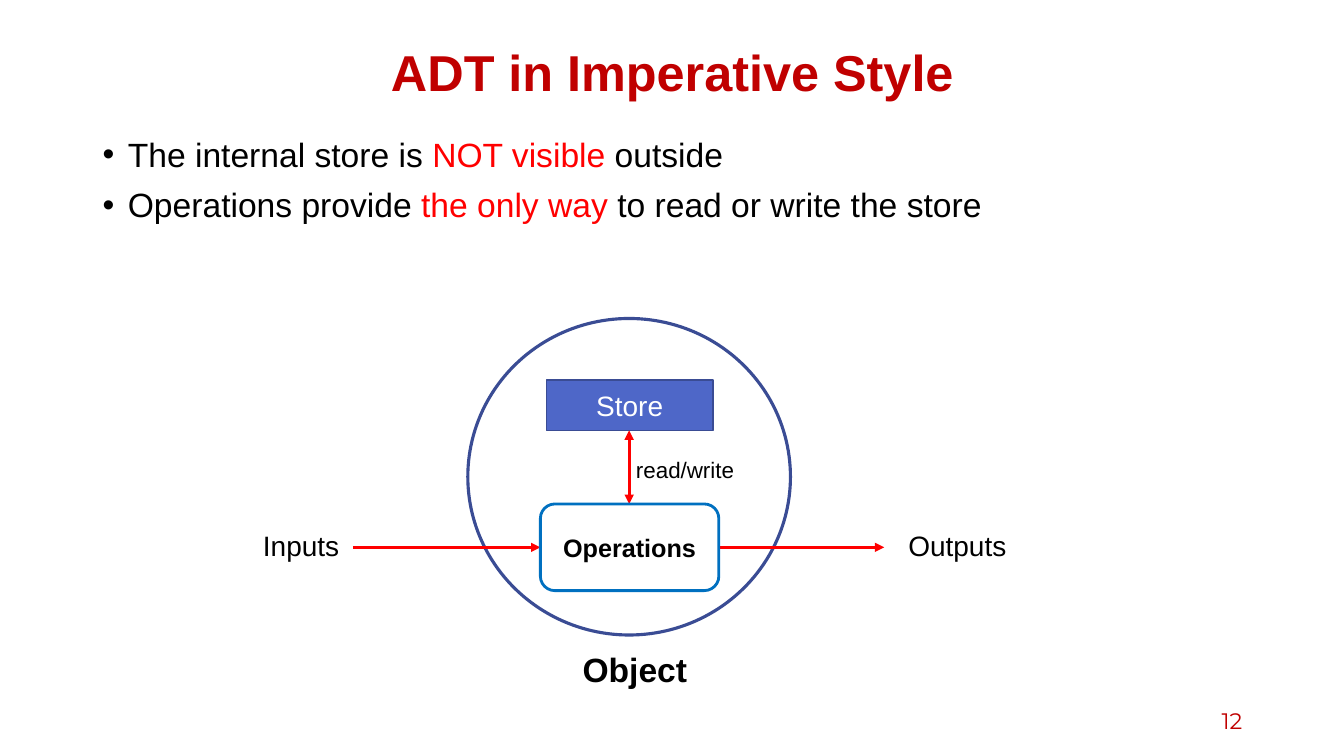
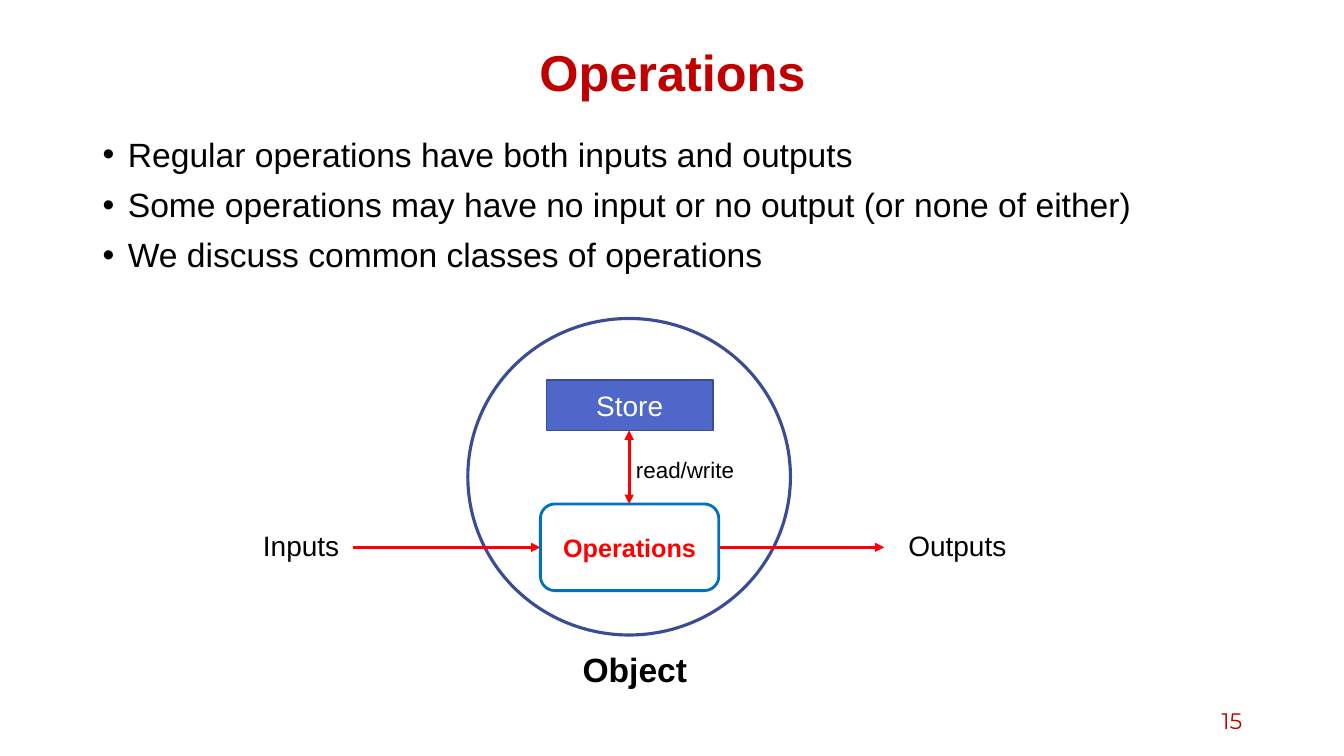
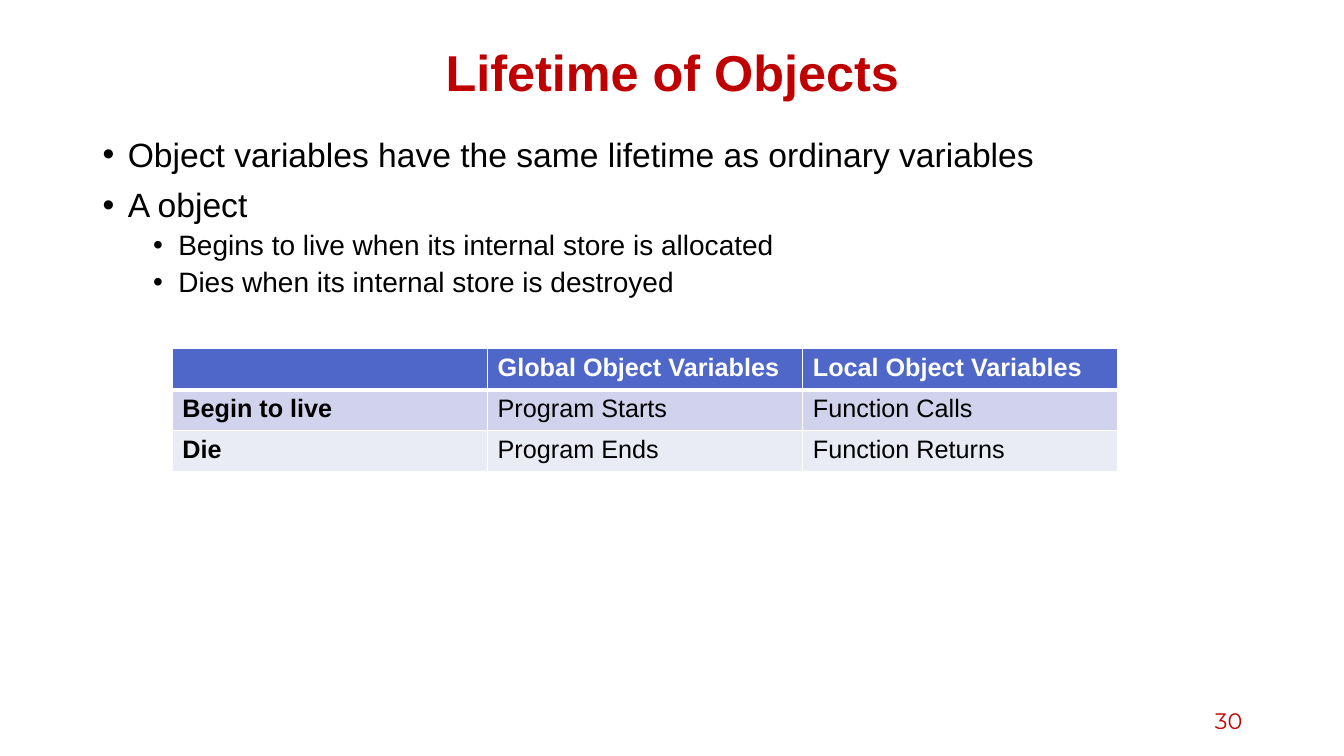
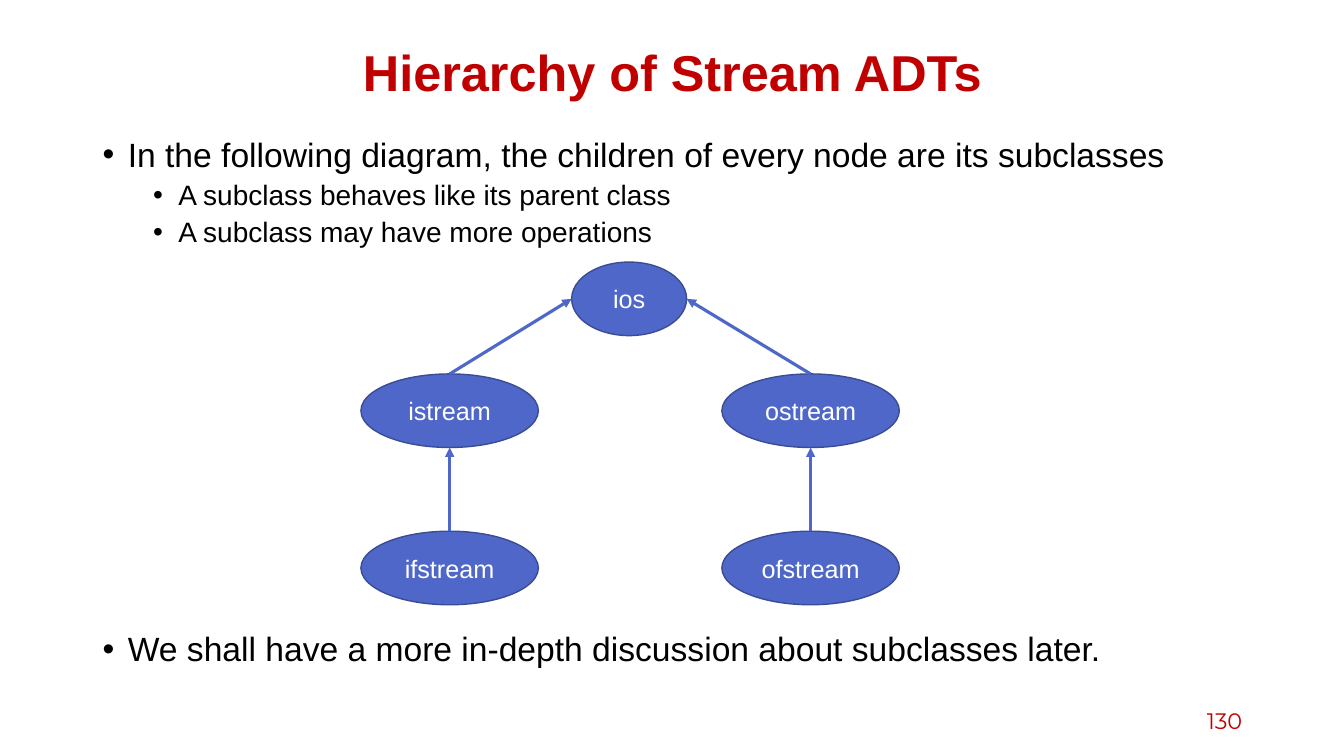
from lxml import etree
from pptx import Presentation
from pptx import util as u
from pptx.dml.color import RGBColor
from pptx.enum import shapes, text
from pptx.oxml import ns

COLORS = {
    "title": "C00000", "ink": "000000", "accent": "FF0000", "white": "FFFFFF",
    "blue": "4E67C8", "outline": "3A4C94", "operations": "0070C0",
    "band_dark": "D0D3EB", "band_light": "E9EBF5",
}
TITLE_BOX = (0.92, 0.4, 11.5, 0.7)
BODY_BOX = (0.92, 1.32, 11.5, 5.51)
NUMBER_BOX = (9.42, 6.95, 3, 0.4)
# Bullet level: font size, left indent, space before
LEVELS = [(24, 0.25, 10), (20, 0.75, 5)]
ALIGN = text.PP_ALIGN
SHAPE = shapes.MSO_SHAPE


def rgb(name):
    return RGBColor.from_string(COLORS[name])


def inches(*lengths):
    return [u.Inches(length) for length in lengths]


def sub(parent, tag, **attributes):
    return etree.SubElement(parent, ns.qn(tag), attributes)


# Text: content is a string or a list of (string, colour) spans
def write(frame, content, size=18, color="ink", bold=False, font="Arial",
          align=ALIGN.LEFT, spacing=None, before=None):
    para = frame.paragraphs[0]
    if para.runs:
        para = frame.add_paragraph()
    para.alignment = align
    if spacing:
        para.line_spacing = spacing
    if before is not None:
        para.space_before = u.Pt(before)
    spans = [(content, color)] if isinstance(content, str) else content
    for words, span_color in spans:
        span = para.add_run()
        span.text = words
        span.font.name = font
        span.font.size = u.Pt(size)
        span.font.bold = bold
        span.font.color.rgb = rgb(span_color)
    return para


def add_label(page, box, content, anchor=text.MSO_ANCHOR.TOP, **style):
    frame = page.shapes.add_textbox(*inches(*box)).text_frame
    frame.word_wrap = True
    frame.vertical_anchor = anchor
    write(frame, content, **style)


def add_node(page, kind, box, content="", fill=None, line="outline", width=1, **style):
    node = page.shapes.add_shape(kind, *inches(*box))
    node.shadow.inherit = False
    if fill:
        node.fill.solid()
        node.fill.fore_color.rgb = rgb(fill)
    else:
        node.fill.background()
    node.line.color.rgb = rgb(line)
    node.line.width = u.Pt(width)
    if content:
        node.text_frame.vertical_anchor = text.MSO_ANCHOR.MIDDLE
        write(node.text_frame, content, align=ALIGN.CENTER, **style)


def add_arrow(page, start, end, color, both=False):
    arrow = page.shapes.add_connector(
        shapes.MSO_CONNECTOR.STRAIGHT, *inches(*start, *end))
    arrow.line.color.rgb = rgb(color)
    arrow.line.width = u.Pt(2.25)
    outline = arrow.line._get_or_add_ln()
    if both:
        sub(outline, "a:headEnd", type="triangle")
    sub(outline, "a:tailEnd", type="triangle")
    sub(arrow._element.spPr, "a:effectLst")


# Shared page parts: title and slide number
def add_page(deck, title, number):
    page = deck.slides.add_slide(deck.slide_layouts[5])
    heading = page.shapes.title
    heading.left, heading.top, heading.width, heading.height = inches(*TITLE_BOX)
    heading.text_frame.vertical_anchor = text.MSO_ANCHOR.MIDDLE
    write(heading.text_frame, title, size=36, color="title", bold=True,
          align=ALIGN.CENTER, spacing=0.9)
    add_label(page, NUMBER_BOX, number, anchor=text.MSO_ANCHOR.MIDDLE, size=16,
              color="title", font="Montserrat", align=ALIGN.RIGHT)
    return page


# Bullets: each item is (level, content) or (level, content, space before)
def add_bullets(page, box, items):
    frame = page.shapes.add_textbox(*inches(*box)).text_frame
    frame.word_wrap = True
    for level, content, *gap in items:
        size, indent, before = LEVELS[level]
        para = write(frame, content, size=size, spacing=0.9,
                     before=gap[0] if gap else before)
        para.level = level
        properties = para._p.get_or_add_pPr()
        properties.set("marL", str(u.Inches(indent)))
        properties.set("indent", str(u.Inches(-0.25)))
        sub(properties, "a:buFont", typeface="Arial")
        sub(properties, "a:buChar", char="•")


# Object with its store and operations
def add_object_diagram(page, left, top, operations_color="ink"):
    def at(x, y, *size):
        return (left + x, top + y, *size)

    axis, flow = 3.73, 2.27
    add_node(page, SHAPE.RECTANGLE, at(2.91, 0.61, 1.65, 0.5), "Store",
             fill="blue", size=20, color="white")
    add_node(page, SHAPE.OVAL, at(2.13, 0, 3.2, 3.14), width=2.25)
    add_arrow(page, at(0.99, flow), at(2.85, flow), "accent")
    add_arrow(page, at(4.62, flow), at(6.26, flow), "accent")
    add_arrow(page, at(axis, 1.11), at(axis, 1.84), "accent", both=True)
    add_node(page, SHAPE.ROUNDED_RECTANGLE, at(2.85, 1.84, 1.77, 0.86), "Operations",
             line="operations", width=2, color=operations_color, bold=True)
    add_label(page, at(3.17, 3.23, 1.3, 0.5), "Object", size=24, bold=True)
    add_label(page, at(0, 2.03, 1.07, 0.44), "Inputs", size=20)
    add_label(page, at(6.4, 2.03, 1.32, 0.44), "Outputs", size=20)
    add_label(page, at(3.7, 1.32, 1.63, 0.37), "read/write", size=16)


# Table with a header row and a bold first column
def set_borders(cell, bottom):
    properties = cell._tc.get_or_add_tcPr()
    widths = {"a:lnL": 1, "a:lnR": 1, "a:lnT": 1, "a:lnB": bottom}
    for place, (tag, width) in enumerate(widths.items()):
        border = etree.Element(ns.qn(tag), w=str(u.Pt(width)))
        sub(sub(border, "a:solidFill"), "a:srgbClr", val=COLORS["white"])
        properties.insert(place, border)


def add_grid(page, box, rows):
    grid = page.shapes.add_table(len(rows), len(rows[0]), *inches(*box)).table
    fills = ["blue", "band_dark", "band_light"]
    for r, row in enumerate(rows):
        for c, content in enumerate(row):
            cell = grid.cell(r, c)
            cell.fill.solid()
            cell.fill.fore_color.rgb = rgb(fills[r])
            if content:
                write(cell.text_frame, content, bold=r == 0 or c == 0,
                      color="ink" if r else "white")
            set_borders(cell, bottom=1 if r else 3)


# Class tree: a root over two branches of parent and child
def add_class_tree(page, left, top, root, branches):
    height, width, root_width = 0.73, 1.76, 1.14
    branch_step, parent_top, child_top = 3.58, 1.11, 2.67
    root_left = left + 2.09
    style = {"fill": "blue", "color": "white"}
    add_node(page, SHAPE.OVAL, (root_left, top, root_width, height), root, **style)
    for index, (parent, child) in enumerate(branches):
        x = left + index * branch_step
        middle = x + width / 2
        for name, y in ((parent, parent_top), (child, child_top)):
            add_node(page, SHAPE.OVAL, (x, top + y, width, height), name, **style)
        root_side = (root_left + index * root_width, top + height / 2)
        add_arrow(page, (middle, top + parent_top), root_side, "blue")
        add_arrow(page, (middle, top + child_top),
                  (middle, top + parent_top + height), "blue")


def main():
    deck = Presentation()
    deck.slide_width, deck.slide_height = inches(13.33, 7.5)

    page = add_page(deck, "ADT in Imperative Style", "12")
    add_bullets(page, BODY_BOX, [
        (0, [("The internal store is ", "ink"), ("NOT visible", "accent"),
             (" outside", "ink")]),
        (0, [("Operations provide ", "ink"), ("the only way ", "accent"),
             ("to read or write the store", "ink")]),
    ])
    add_object_diagram(page, 2.51, 3.16)

    page = add_page(deck, "Operations", "15")
    add_bullets(page, BODY_BOX, [
        (0, "Regular operations have both inputs and outputs"),
        (0, "Some operations may have no input or no output (or none of either)"),
        (0, "We discuss common classes of operations"),
    ])
    add_object_diagram(page, 2.51, 3.16, operations_color="accent")

    page = add_page(deck, "Lifetime of Objects", "30")
    add_bullets(page, BODY_BOX, [
        (0, "Object variables have the same lifetime as ordinary variables"),
        (0, "A object"),
        (1, "Begins to live when its internal store is allocated"),
        (1, "Dies when its internal store is destroyed"),
    ])
    add_grid(page, (1.71, 3.46, 9.38, 1.22), [
        ["", "Global Object Variables", "Local Object Variables"],
        ["Begin to live", "Program Starts", "Function Calls"],
        ["Die", "Program Ends", "Function Returns"],
    ])

    page = add_page(deck, "Hierarchy of Stream ADTs", "130")
    add_bullets(page, BODY_BOX, [
        (0, "In the following diagram, the children of every node are its subclasses"),
        (1, "A subclass behaves like its parent class"),
        (1, "A subclass may have more operations"),
        (0, "We shall have a more in-depth discussion about subclasses later.", 274),
    ])
    add_class_tree(page, 3.58, 2.6, "ios",
                   [("istream", "ifstream"), ("ostream", "ofstream")])

    deck.save("out.pptx")


if __name__ == "__main__":
    main()
